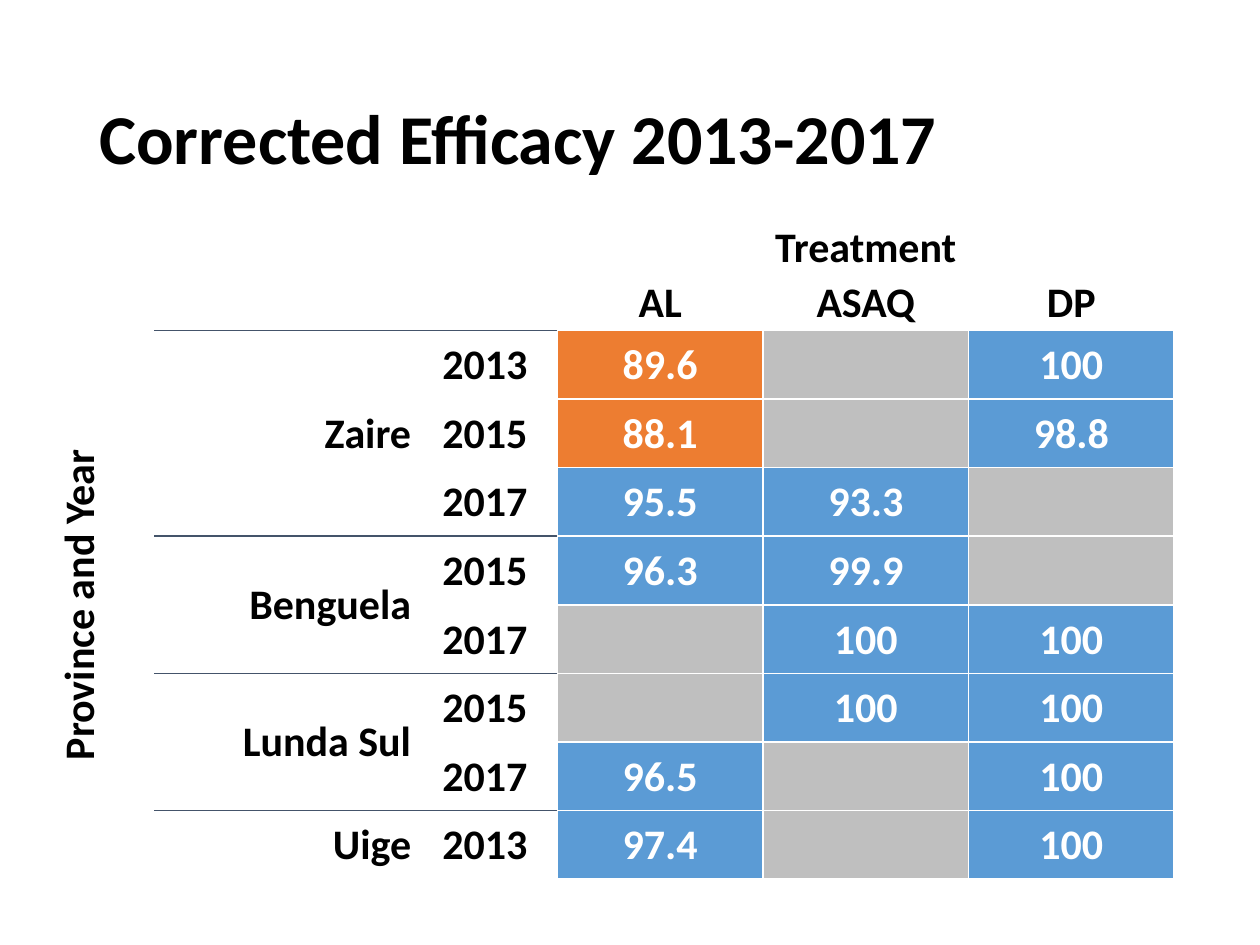
import lxml.etree
import pptx
import pptx.dml.color
import pptx.enum.text
import pptx.oxml.ns
import pptx.util

COLORS = {
    "white": "FFFFFF",
    "text": "000000",
    "rule": "44546A",
    "high": "5B9BD5",
    "low": "ED7D31",
    "missing": "BFBFBF",
}
FONT = "Calibri"
THRESHOLD = 90
TREATMENTS = ["AL", "ASAQ", "DP"]
PROVINCES = {
    "Zaire": [("2013", "89.6", "", "100"), ("2015", "88.1", "", "98.8"), ("2017", "95.5", "93.3", "")],
    "Benguela": [("2015", "96.3", "99.9", ""), ("2017", "", "100", "100")],
    "Lunda Sul": [("2015", "", "100", "100"), ("2017", "96.5", "", "100")],
    "Uige": [("2013", "97.4", "", "100")],
}
COLUMN_WIDTHS = [0.81, 2.04, 1.15, 1.63, 1.63, 1.63]
HEADER_ROWS = 2
HEADER_SHARE = 0.085
ALIGN = pptx.enum.text.PP_ALIGN
ANCHOR = pptx.enum.text.MSO_ANCHOR


def rgb(name):
    return pptx.dml.color.RGBColor.from_string(COLORS[name])


def style_paragraph(para, size, color, align):
    para.alignment = align
    para.font.name = FONT
    para.font.size = pptx.util.Pt(size)
    para.font.bold = True
    para.font.color.rgb = rgb(color)


def set_borders(cell, top="white", bottom="white"):
    properties = cell._tc.get_or_add_tcPr()
    sides = {"lnL": "white", "lnR": "white", "lnT": top, "lnB": bottom}
    for position, (side, color) in enumerate(sides.items()):
        line = lxml.etree.Element(pptx.oxml.ns.qn(f"a:{side}"), w=str(pptx.util.Pt(1)))
        fill = lxml.etree.SubElement(line, pptx.oxml.ns.qn("a:solidFill"))
        lxml.etree.SubElement(fill, pptx.oxml.ns.qn("a:srgbClr"), val=COLORS[color])
        properties.insert(position, line)


def fill_cell(cell, text="", fill="white", color="text", align=ALIGN.CENTER, anchor=ANCHOR.MIDDLE):
    cell.fill.solid()
    cell.fill.fore_color.rgb = rgb(fill)
    cell.margin_left = cell.margin_right = cell.margin_top = pptx.util.Inches(0.01)
    cell.margin_bottom = 0
    cell.vertical_anchor = anchor
    cell.text = text
    style_paragraph(cell.text_frame.paragraphs[0], 24, color, align)


def fill_result(cell, value):
    if not value:
        fill = "missing"
    else:
        fill = "low" if float(value) < THRESHOLD else "high"
    fill_cell(cell, value, fill, "white")


def add_title(page, left, top, width, height):
    box = page.shapes.add_textbox(left, top, width, height)
    frame = box.text_frame
    frame.word_wrap = True
    frame.vertical_anchor = ANCHOR.MIDDLE
    para = frame.paragraphs[0]
    para.text = "Corrected Efficacy 2013-2017"
    para.line_spacing = 0.9
    style_paragraph(para, 40, "text", ALIGN.LEFT)


def add_efficacy_table(page, left, top, width, height):
    body_rows = sum(len(years) for years in PROVINCES.values())
    row_count = HEADER_ROWS + body_rows
    table = page.shapes.add_table(row_count, len(COLUMN_WIDTHS), left, top, width, height).table
    table.first_row = table.horz_banding = False
    for column, share in zip(table.columns, COLUMN_WIDTHS):
        column.width = int(width * share / sum(COLUMN_WIDTHS))
    body_share = (1 - HEADER_ROWS * HEADER_SHARE) / body_rows
    for index, row in enumerate(table.rows):
        row.height = int(height * (HEADER_SHARE if index < HEADER_ROWS else body_share))

    for cell in table.iter_cells():
        fill_cell(cell)
    fill_cell(table.cell(0, 3), "Treatment", anchor=ANCHOR.BOTTOM)
    table.cell(0, 3).merge(table.cell(0, 5))
    for column, treatment in enumerate(TREATMENTS, 3):
        fill_cell(table.cell(1, column), treatment)
    side_label = table.cell(HEADER_ROWS, 0)
    fill_cell(side_label, "Province and Year")
    side_label._tc.get_or_add_tcPr().set("vert", "vert270")
    side_label.merge(table.cell(row_count - 1, 0))

    ruled = {(1, column): ("white", "rule") for column in (1, 2)}
    first = HEADER_ROWS
    for province, years in PROVINCES.items():
        last = first + len(years) - 1
        closing = "white" if last == row_count - 1 else "rule"
        fill_cell(table.cell(first, 1), province, align=ALIGN.RIGHT)
        if last > first:
            table.cell(first, 1).merge(table.cell(last, 1))
        for row, (year, *results) in enumerate(years, first):
            fill_cell(table.cell(row, 2), year)
            for column, value in enumerate(results, 3):
                fill_result(table.cell(row, column), value)
            ruled[row, 1] = ("rule", closing)
            ruled[row, 2] = ("rule" if row == first else "white", closing if row == last else "white")
        first = last + 1

    for row in range(row_count):
        for column in range(len(COLUMN_WIDTHS)):
            set_borders(table.cell(row, column), *ruled.get((row, column), ("white", "white")))


def main():
    deck = pptx.Presentation()
    deck.slide_width = pptx.util.Inches(10)
    deck.slide_height = pptx.util.Inches(7.5)
    page = deck.slides.add_slide(deck.slide_layouts[6])
    inches = pptx.util.Inches
    add_title(page, inches(0.69), inches(0.4), inches(8.62), inches(1.45))
    add_efficacy_table(page, inches(0.42), inches(1.73), inches(8.9), inches(5.25))
    deck.save("out.pptx")


if __name__ == "__main__":
    main()
